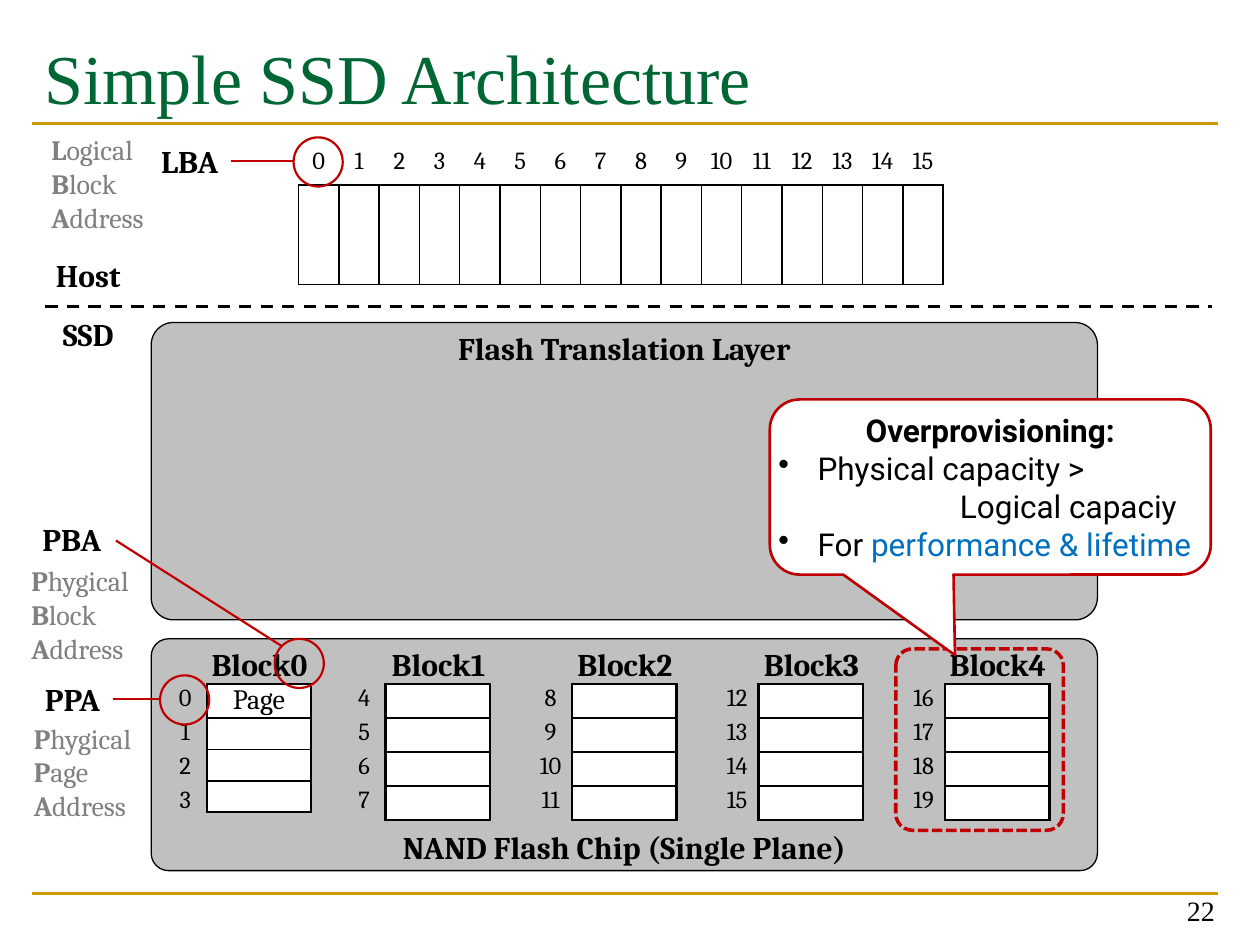
from lxml import etree
from pptx import Presentation
from pptx.dml.color import RGBColor as RGB
from pptx.enum.dml import MSO_LINE as Dash
from pptx.enum.shapes import MSO_CONNECTOR as Link, MSO_SHAPE as Shape
from pptx.enum.text import MSO_ANCHOR as Anchor, MSO_AUTO_SIZE as Fit, PP_ALIGN as Align
from pptx.oxml.ns import qn
from pptx.util import Inches, Pt

HEX = {"black": "000000", "white": "FFFFFF", "gray": "C0C0C0", "dim": "808080",
       "red": "C00000", "gold": "CC9900", "green": "006633", "blue": "0070C0"}
RGBS = {name: RGB.from_string(code) for name, code in HEX.items()}
PLAIN = "{2D5ABB26-0587-4C30-8999-92F81FD0307C}"

deck = Presentation()
deck.slide_width, deck.slide_height = Inches(10), Inches(7.5)
slide = deck.slides.add_slide(deck.slide_layouts[5])
shapes = slide.shapes


def box(kind, x, y, w, h, text="", fill=None, edge=None, width=1, adj=(),
        anchor=Anchor.MIDDLE, size=18, bold=True, font="Cambria", align=Align.CENTER):
    place = [Inches(v) for v in (x, y, w, h)]
    if kind is None:
        item = shapes.add_textbox(*place)
    else:
        item = shapes.add_shape(kind, *place)
        item.shadow.inherit = False
        for i, value in enumerate(adj):
            item.adjustments[i] = value
        if fill:
            item.fill.solid()
            item.fill.fore_color.rgb = RGBS[fill]
        else:
            item.fill.background()
        item.line.color.rgb = RGBS[edge]
        item.line.width = Pt(width)
    frame = item.text_frame
    frame.vertical_anchor = anchor
    if kind is not None:
        frame.margin_left = frame.margin_right = frame.margin_top = frame.margin_bottom = 0
    if text:
        para = frame.paragraphs[0]
        para.text, para.alignment = text, align
        para.font.name, para.font.size, para.font.bold = font, Pt(size), bold
        para.font.color.rgb = RGBS["black"]
    return item


def grid(x, y, w, heights, rows, size, borders, anchor=Anchor.TOP):
    count = len(rows[0])
    table = shapes.add_table(len(rows), count, Inches(x), Inches(y),
                             Inches(w * count), Inches(sum(heights))).table
    table.first_row = table.horz_banding = False
    table._tbl.tblPr.find(qn("a:tableStyleId")).text = PLAIN
    for col in table.columns:
        col.width = Inches(w)
    for r, row in enumerate(rows):
        table.rows[r].height = Inches(heights[r])
        for c, text in enumerate(row):
            cell = table.cell(r, c)
            cell.margin_left = cell.margin_right = cell.margin_top = cell.margin_bottom = 0
            cell.vertical_anchor = anchor
            para = cell.text_frame.paragraphs[0]
            para.alignment = Align.CENTER
            if text:
                para.text = text
                para.font.name, para.font.size = "Cambria", Pt(size)
                para.font.color.rgb = RGBS["black"]
            else:
                etree.SubElement(para._p, qn("a:endParaRPr"), sz="1000")
            props = cell._tc.get_or_add_tcPr()
            for side, width in zip("LRTB", borders[r]):
                if width:
                    ln = etree.SubElement(props, qn("a:ln" + side), w=str(Pt(width)))
                    paint = etree.SubElement(ln, qn("a:solidFill"))
                    etree.SubElement(paint, qn("a:srgbClr"), val=HEX["black"])
            if any(borders[r]):
                cell.fill.solid()
                cell.fill.fore_color.rgb = RGBS["white"]


title = shapes.title
title.left, title.top, title.width, title.height = [Inches(v) for v in (0.25, 0.17, 9.42, 1.17)]
frame = title.text_frame
frame.auto_size, frame.vertical_anchor = Fit.NONE, Anchor.TOP
frame.margin_top = Inches(0.1)
para = frame.paragraphs[0]
para.text, para.alignment = "Simple SSD Architecture", Align.LEFT
para.font.name, para.font.size = "Times New Roman", Pt(40)
para.font.color.rgb = RGBS["green"]

box(None, 7.41, 6.91, 2.33, 0.5, "22", anchor=Anchor.BOTTOM, size=16, bold=False,
    font="Times New Roman", align=Align.RIGHT)

for y, h, text, anchor in [(5.07, 1.84, "NAND Flash Chip (Single Plane)", Anchor.BOTTOM),
                           (2.56, 2.36, "Flash Translation Layer", Anchor.TOP)]:
    box(Shape.ROUNDED_RECTANGLE, 1.2, y, 7.51, h, text, "gray", "black", 0.75, [0.075], anchor)

sides = [(1.5, 1.5, 1.5, 1), (1.5, 1.5, 1, 1), (1.5, 1.5, 1, 1), (1.5, 1.5, 1, 1.5)]
for n, x in enumerate([1.64, 3.06, 4.54, 6.02, 7.5]):
    pages = [["" if n else "Page"], [""], [""], [""]]
    grid(x, 5.43, 0.83, [0.27 if n else 0.25] * 4, pages, 16, sides)
    marks = [[str(4 * n + i)] for i in range(4)]
    grid(x - 0.33, 5.43, 0.32, [0.27] * 4, marks, 14, [(0, 0, 0, 0)] * 4)
    box(None, x - 0.08, 5.07, 1, 0.4, f"Block{n}").text_frame.word_wrap = False

grid(2.37, 1.1, 0.32, [0.37, 0.79], [[str(i) for i in range(16)], [""] * 16], 14,
     [(0, 0, 0, 1), (1, 1, 1, 1)], Anchor.MIDDLE)

for text, x, y, w in [("Host", 0.33, 1.98, 0.74), ("SSD", 0.38, 2.45, 0.64),
                      ("PPA", 0.25, 5.35, 0.65), ("PBA", 0.23, 4.08, 0.68),
                      ("LBA", 1.17, 1.08, 0.67)]:
    box(None, x, y, w, 0.4, text).text_frame.word_wrap = False

for words, x, y, w in [("Phygical Page Address", 0.17, 5.67, 1.06),
                       ("Phygical Block Address", 0.15, 4.42, 1.06),
                       ("Logical Block Address", 0.31, 1, 1)]:
    frame = box(None, x, y, w, 0.91).text_frame
    frame.word_wrap = True
    para = frame.paragraphs[0]
    para.font.name, para.font.size = "Cambria", Pt(16)
    para.font.color.rgb = RGBS["dim"]
    for i, word in enumerate(words.split()):
        if i:
            para.add_line_break()
        for part, bold in [(word[0], True), (word[1:], False)]:
            run = para.add_run()
            run.text, run.font.bold = part, bold

for x, y in [(1.27, 5.36), (2.18, 5.07), (2.33, 1.09)]:
    box(Shape.OVAL, x, y, 0.39, 0.39, edge="red", width=1.25)

for x1, y1, x2, y2, tone, width in [(0.25, 7.09, 9.67, 7.09, "gold", 1.5),
                                    (0.25, 0.98, 9.67, 0.98, "gold", 1.5),
                                    (0.36, 2.43, 9.62, 2.43, "black", 1.75),
                                    (0.9, 5.55, 1.27, 5.55, "red", 1.25),
                                    (0.92, 4.29, 2.24, 5.13, "red", 1.25),
                                    (1.83, 1.28, 2.33, 1.28, "red", 1.25)]:
    line = shapes.add_connector(Link.STRAIGHT, Inches(x1), Inches(y1), Inches(x2), Inches(y2))
    line.line.color.rgb, line.line.width = RGBS[tone], Pt(width)
    if tone == "black":
        line.line.dash_style = Dash.DASH
    etree.SubElement(line._element.spPr, qn("a:effectLst"))

spare = box(Shape.ROUNDED_RECTANGLE, 7.11, 5.15, 1.33, 1.44, edge="red", width=2, adj=[0.1])
spare.line.dash_style = Dash.SQUARE_DOT

note = box(Shape.ROUNDED_RECTANGULAR_CALLOUT, 6.11, 3.17, 3.5, 1.39, "Overprovisioning:",
           "white", "red", 1.5, [-0.08, 0.96, 0.17], font="Roboto")
for indent, bullet, parts in [(0.31, True, [("Physical capacity >", "black")]),
                              (1.44, False, [("Logical capaciy", "black")]),
                              (0.31, True, [("For ", "black"),
                                            ("performance & lifetime", "blue")])]:
    para = note.text_frame.add_paragraph()
    para.alignment = Align.LEFT
    para.font.name, para.font.size = "Roboto", Pt(18)
    props = para._p.get_or_add_pPr()
    props.set("marL", str(Inches(indent)))
    if bullet:
        props.set("indent", str(-Inches(indent)))
        mark = etree.Element(qn("a:buChar"), char="•")
        props.insert(0, mark)
    for text, tone in parts:
        run = para.add_run()
        run.text, run.font.color.rgb = text, RGBS[tone]

deck.save("out.pptx")
